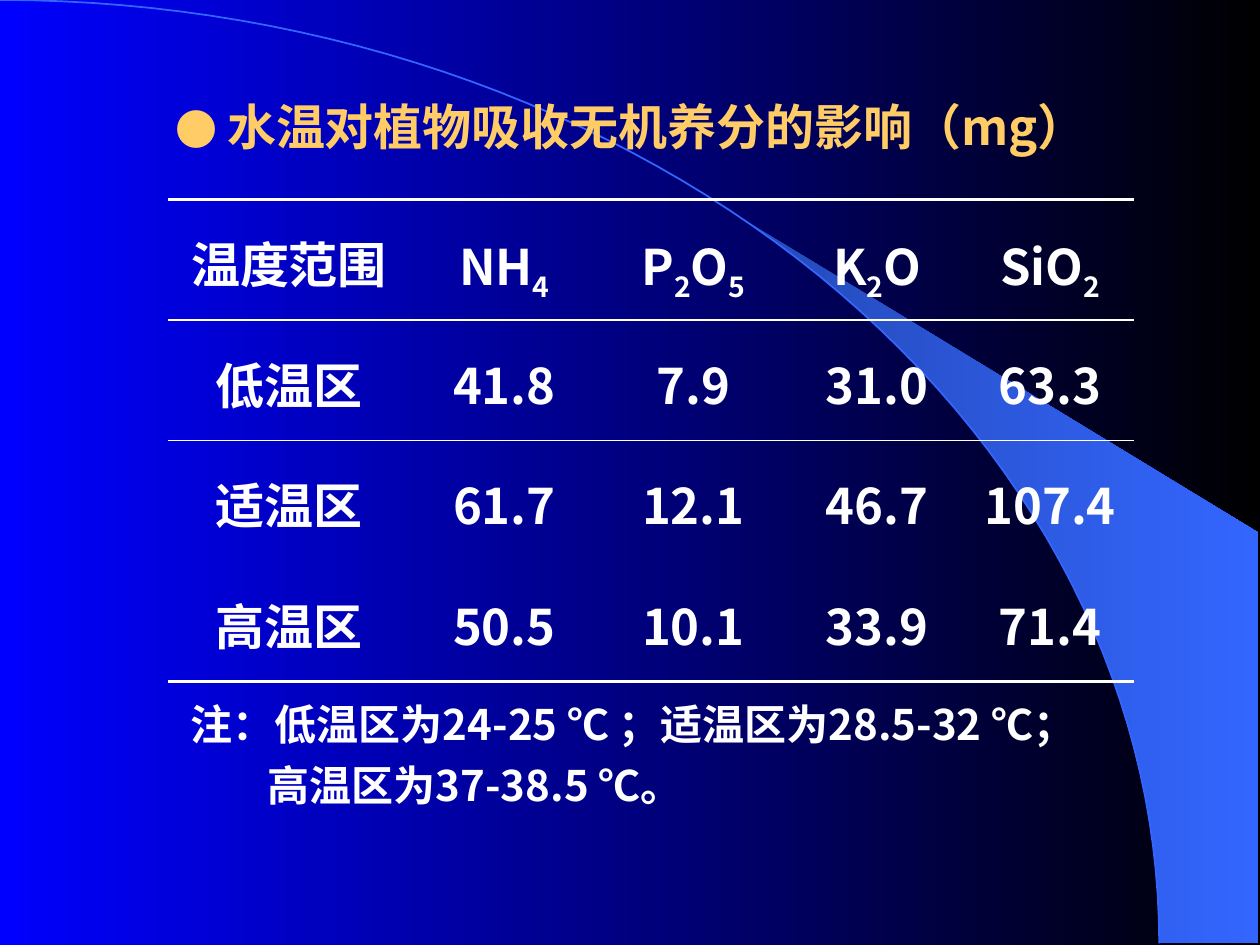
"""Build a slide with a table of water temperature and nutrient uptake."""
from dataclasses import dataclass
from itertools import groupby
from math import acos, cos, pi, sin

from lxml.etree import SubElement
from pptx import Presentation
from pptx.dml.color import RGBColor
from pptx.dml.fill import FillFormat
from pptx.enum.text import MSO_ANCHOR, MSO_AUTO_SIZE, PP_ALIGN
from pptx.oxml.ns import qn
from pptx.shapes.freeform import FreeformBuilder
from pptx.slide import Slide
from pptx.table import _Cell
from pptx.text.text import TextFrame, _Paragraph, _Run
from pptx.util import Cm, Pt

COLORS = {"blue": "0000FF", "black": "000000", "dusk": "2449B6",
          "sky": "3366FF", "gold": "FFCC66", "white": "FFFFFF"}
SANS, SERIF = "Noto Sans CJK SC", "Times New Roman"
NO_STYLE = "{2D5ABB26-0587-4C30-8999-92F81FD0307C}"
CURVE_WIDTH, CURVE_HEIGHT = 23.37, 19.02
WEDGE_TOP, WEDGE_RIGHT, WEDGE_SIDE = 4.39, 25.37, 10.74
COLUMN_WIDTHS = (4.87, 3.81, 3.81, 3.6, 3.38)
ROW_HEIGHT = 2.43
Point = tuple[float, float]


@dataclass
class UptakeRow:
    cells: tuple[str, ...]
    top: float = 0
    bottom: float = 0


ROWS = (
    UptakeRow(("温度范围", "NH4", "P2O5", "K2O", "SiO2"), top=2.25, bottom=1),
    UptakeRow(("低温区", "41.8", "7.9", "31.0", "63.3"), top=1),
    UptakeRow(("适温区", "61.7", "12.1", "46.7", "107.4")),
    UptakeRow(("高温区", "50.5", "10.1", "33.9", "71.4"), bottom=2.25),
)


def color(name: str) -> RGBColor:
    return RGBColor.from_string(COLORS[name])


def fill_gradient(fill: FillFormat, start: str, end: str) -> None:
    fill.gradient()
    fill.gradient_angle = 0
    for stop, name in zip(fill.gradient_stops, (start, end)):
        stop.color.rgb = color(name)


def curve_points(start: float, steps: int) -> list[Point]:
    angles = [start + (pi / 2 - start) * step / steps for step in range(steps + 1)]
    return [(CURVE_WIDTH * sin(a), CURVE_HEIGHT * (1 - cos(a))) for a in angles]


def outline(page: Slide, points: list[Point], close: bool) -> FreeformBuilder:
    corners = [(Cm(x), Cm(y)) for x, y in points]
    builder = page.shapes.build_freeform(*corners[0])
    builder.add_line_segments(corners[1:], close=close)
    return builder


def draw_backdrop(page: Slide) -> None:
    fill_gradient(page.background.fill, "blue", "black")
    edge = curve_points(acos(1 - WEDGE_TOP / CURVE_HEIGHT), 24)
    corners = [(WEDGE_RIGHT, CURVE_HEIGHT), (WEDGE_RIGHT, WEDGE_SIDE)]
    wedge = outline(page, edge + corners, True).convert_to_shape()
    fill_gradient(wedge.fill, "dusk", "sky")
    wedge.line.fill.background()
    curve = outline(page, curve_points(0, 60), False).convert_to_shape()
    curve.fill.background()
    curve.line.color.rgb = color("sky")
    curve.line.width = Pt(1)
    for shape in (wedge, curve):
        shape.shadow.inherit = False


def format_span(span: _Run, size: float, name: str, font: str = SANS) -> None:
    span.font.size = Pt(size)
    span.font.bold = True
    span.font.name = font
    span.font.color.rgb = color(name)
    SubElement(span._r.get_or_add_rPr(), qn("a:ea"), typeface=SANS)


def prepare_frame(frame: TextFrame) -> None:
    frame.word_wrap = True
    frame.auto_size = MSO_AUTO_SIZE.SHAPE_TO_FIT_TEXT
    frame.vertical_anchor = MSO_ANCHOR.TOP


def draw_title(page: Slide) -> None:
    title = page.shapes.title
    title.left, title.top, title.width, title.height = Cm(2.54), Cm(1.7), Cm(21.16), Cm(1.55)
    page.shapes._spTree.append(title._element)
    frame = title.text_frame
    prepare_frame(frame)
    frame.margin_left = Cm(1)
    paragraph = frame.paragraphs[0]
    paragraph.alignment = PP_ALIGN.LEFT
    paragraph.line_spacing = 1.1
    for text, size in (("● ", 24), ("水温对植物吸收无机养分的影响（mg）", 28)):
        span = paragraph.add_run()
        span.text = text
        format_span(span, size, "gold")


def add_border(cell: _Cell, side: str, width: float) -> None:
    line = SubElement(cell._tc.get_or_add_tcPr(), qn(f"a:{side}"), w=str(Pt(width)))
    solid = SubElement(line, qn("a:solidFill"))
    SubElement(solid, qn("a:srgbClr"), val=COLORS["white"])


def write_formula(paragraph: _Paragraph, text: str, font: str, formula: bool) -> None:
    parts = groupby(text, lambda letter: formula and letter.isdigit())
    for lowered, letters in parts:
        span = paragraph.add_run()
        span.text = "".join(letters)
        format_span(span, 28, "white", font)
        if lowered:
            span._r.get_or_add_rPr().set("baseline", "-25000")


def draw_table(page: Slide) -> None:
    frame = page.shapes.add_table(
        len(ROWS), len(COLUMN_WIDTHS), Cm(3.39), Cm(4.02),
        Cm(sum(COLUMN_WIDTHS)), Cm(ROW_HEIGHT * len(ROWS)))
    table = frame.table
    table.first_row = table.horz_banding = False
    table._tbl.tblPr.find(qn("a:tableStyleId")).text = NO_STYLE
    for column, width in zip(table.columns, COLUMN_WIDTHS):
        column.width = Cm(width)
    for row_index, row in enumerate(ROWS):
        table.rows[row_index].height = Cm(ROW_HEIGHT)
        for column_index, text in enumerate(row.cells):
            cell = table.cell(row_index, column_index)
            for side, width in (("lnT", row.top), ("lnB", row.bottom)):
                if width:
                    add_border(cell, side, width)
            cell.fill.background()
            paragraph = cell.text_frame.paragraphs[0]
            paragraph.alignment = PP_ALIGN.CENTER
            paragraph.line_spacing = 1.3
            paragraph.space_before = Pt(5.6)
            write_formula(paragraph, text, SANS if column_index else SERIF, row_index == 0)


def draw_note(page: Slide) -> None:
    box = page.shapes.add_textbox(Cm(3.6), Cm(13.76), Cm(18.85), Cm(2.7))
    frame = box.text_frame
    prepare_frame(frame)
    frame.text = "注：低温区为24-25 ℃ ；适温区为28.5-32 ℃；\n高温区为37-38.5 ℃。"
    for paragraph in frame.paragraphs:
        paragraph.line_spacing = 1.2
        format_span(paragraph.runs[0], 24, "white")
    frame.paragraphs[1]._p.get_or_add_pPr().set("marL", str(Cm(1.55)))


def main() -> None:
    deck = Presentation()
    deck.slide_width, deck.slide_height = Cm(25.4), Cm(19.05)
    page = deck.slides.add_slide(deck.slide_layouts[5])
    draw_backdrop(page)
    draw_title(page)
    draw_table(page)
    draw_note(page)
    deck.save("out.pptx")


if __name__ == "__main__":
    main()
